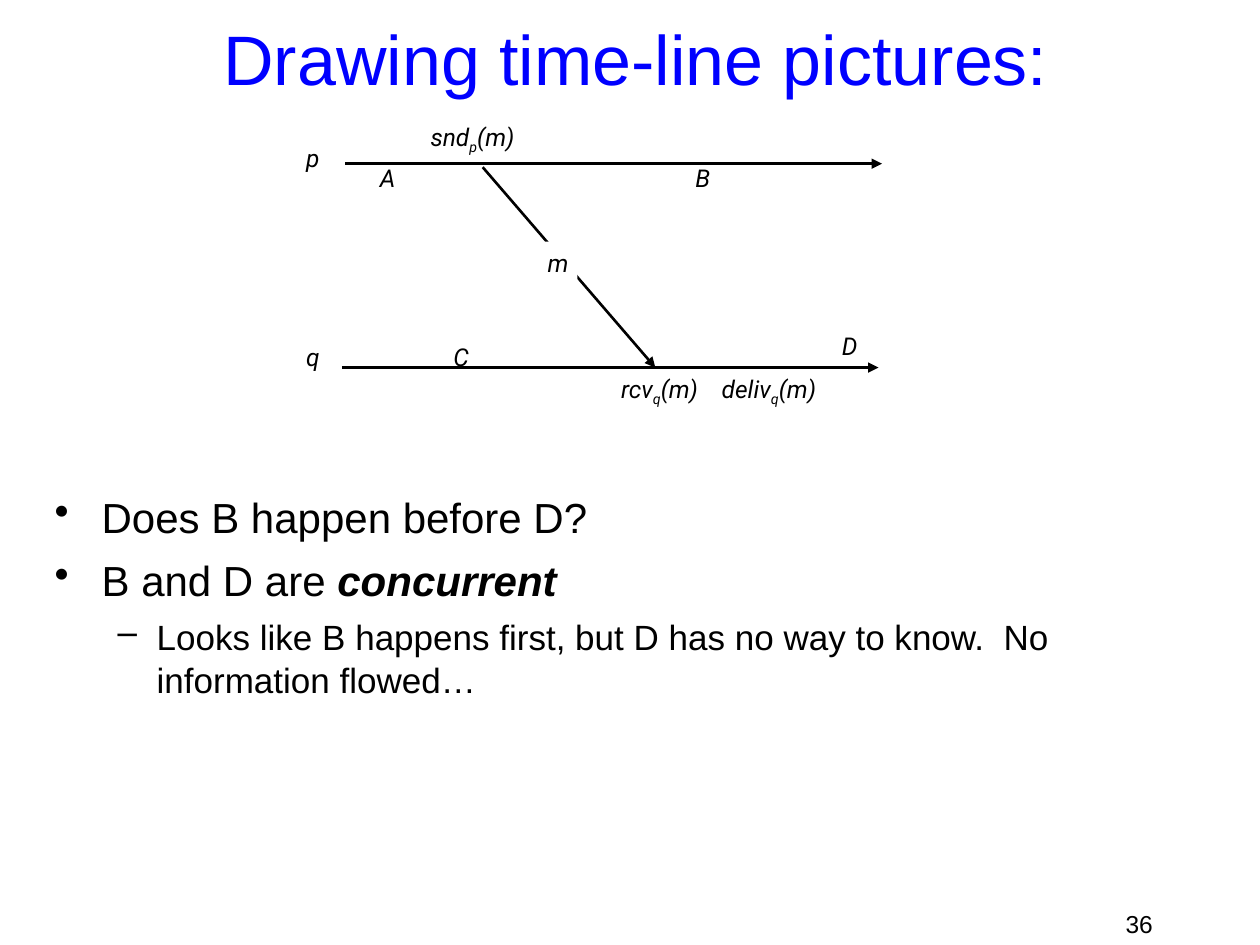
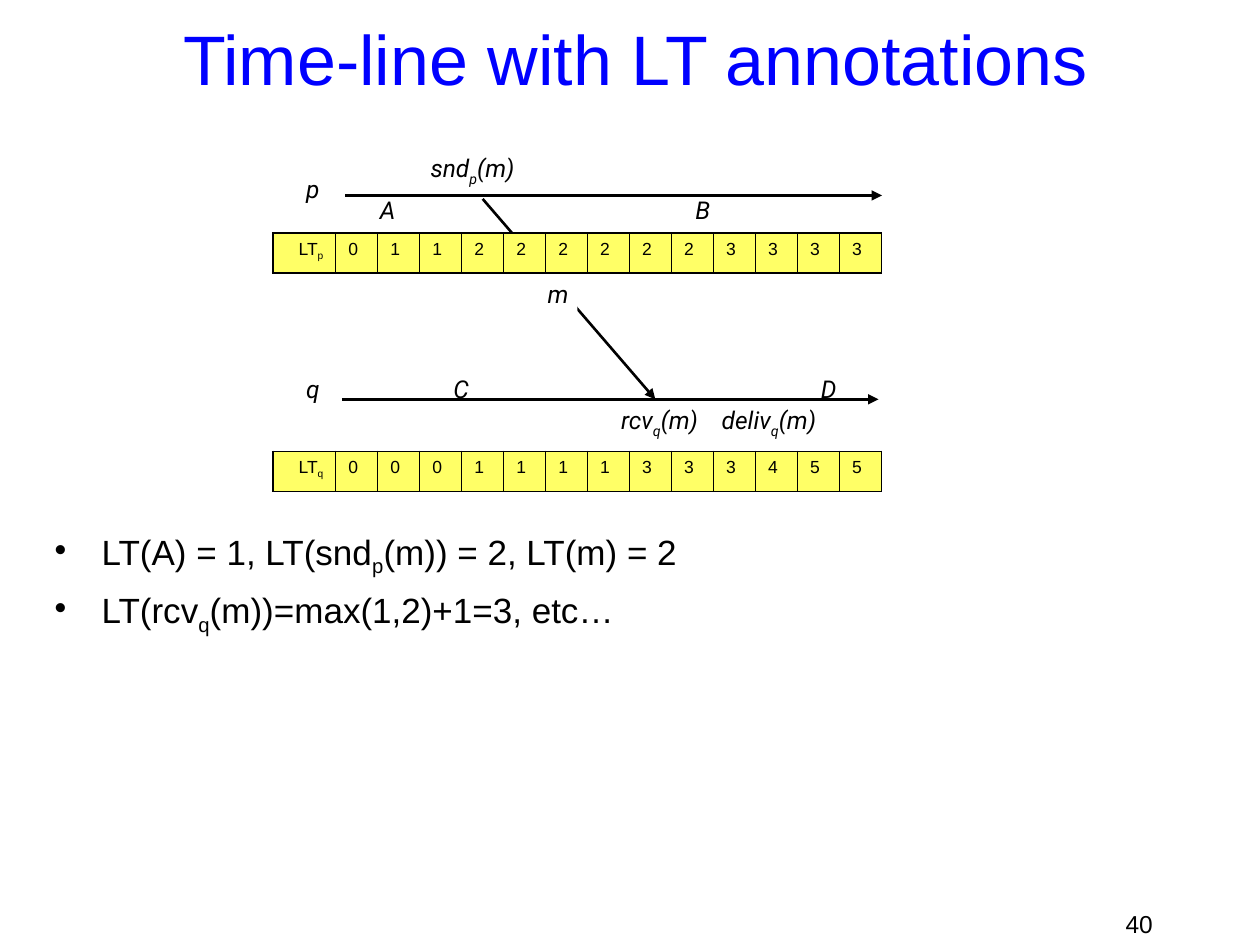
from lxml import etree
from pptx import Presentation
from pptx.dml.color import RGBColor
from pptx.enum import shapes, text
from pptx.oxml.ns import qn
from pptx.util import Cm, Pt

INK = {"title": "0000FF", "text": "000000", "back": "FFFFFF", "cell": "FFFF66"}
SANS, LABEL = "Arial", "Roboto"
LEFT, CENTER, RIGHT = text.PP_ALIGN.LEFT, text.PP_ALIGN.CENTER, text.PP_ALIGN.RIGHT
SIDE = 0.85


def rgb(name):
    return RGBColor.from_string(INK[name])


def sub(run):
    run.font.italic = run.font.italic
    run._r.get_or_add_rPr().set("baseline", "-25000")


def strong(run):
    run.font.bold = run.font.italic = True


def write(par, raw, size, font=SANS, ink="text", align=LEFT, slant=False, mark=sub):
    par.alignment = align
    for i, part in enumerate(raw.split("|")):
        if not part:
            continue
        run = par.add_run()
        run.text = part
        run.font.size = Pt(size)
        run.font.name = font
        run.font.color.rgb = rgb(ink)
        run.font.italic = slant
        if i % 2:
            mark(run)


def text_box(slide, x, y, w, h):
    box = slide.shapes.add_textbox(Cm(x), Cm(y), Cm(w), Cm(h))
    box.text_frame.word_wrap = True
    return box


def frame(slide, title, page):
    head = text_box(slide, 0.85, 0.42, 23.92, 1.48).text_frame
    head.vertical_anchor = text.MSO_ANCHOR.MIDDLE
    write(head.paragraphs[0], title, 40, ink="title", align=CENTER)
    foot = text_box(slide, 18.2, 18.2, 5.29, 0.64).text_frame
    write(foot.paragraphs[0], page, 14, align=RIGHT)


def bullets(slide, start, items):
    body = text_box(slide, 0.85, 2.33, 23.92, 15.45).text_frame
    body.margin_top = Cm(start)
    for i, (raw, size, level) in enumerate(items):
        par = body.add_paragraph() if i else body.paragraphs[0]
        write(par, raw, size, mark=strong if "concurrent" in raw else sub)
        par.level = level
        par.line_spacing = 1.04
        par.space_before = Pt(size / 4 if i else 0)
        indent, hang, sign = [(0.95, 0.95, "•"), (2.06, 0.79, "–")][level]
        prop = par._p.get_or_add_pPr()
        prop.set("marL", str(Cm(indent)))
        prop.set("indent", str(-Cm(hang)))
        etree.SubElement(prop, qn("a:buChar")).set("char", sign)


def arrow(slide, x1, y1, x2, y2):
    line = slide.shapes.add_connector(
        shapes.MSO_CONNECTOR.STRAIGHT, Cm(x1), Cm(y1), Cm(x2), Cm(y2))
    line.line.color.rgb = rgb("text")
    line.line.width = Pt(1.5)
    etree.SubElement(line.line._get_or_add_ln(), qn("a:tailEnd")).set("type", "triangle")
    etree.SubElement(line._element.spPr, qn("a:effectLst"))


def label(slide, raw, x, y, w=SIDE, h=SIDE, fill=False):
    box = text_box(slide, x, y, w, h)
    if fill:
        box.fill.solid()
        box.fill.fore_color.rgb = rgb("back")
    par = box.text_frame.paragraphs[0]
    write(par, raw, 14, LABEL, slant=True)
    return par


def timeline(slide, left, top, last):
    for x1, y1, x2, y2 in [(1.04, 0.97, 11.86, 0.97), (0.97, 5.08, 11.79, 5.08),
                           (3.81, 1.04, 7.29, 5.08)]:
        arrow(slide, left + x1, top + y1, left + x2, top + y2)
    for name, x, y, h in [("p", 0, 0.42, 2.51), ("q", 0, 4.45, 2.51),
                          ("m", 4.87, 2.54, SIDE)]:
        label(slide, name, left + x, top + y, h=h, fill=True)
    for name, x, y in [("D", *last), ("A", 1.49, 0.84), ("C", 2.97, 4.45),
                       ("B", 7.85, 0.84)]:
        label(slide, name, left + x, top + y)
    par = label(slide, "rcv|q|(m)\tdeliv|q|(m)", left + 6.35, top + 5.08, 5.28, 2.49)
    tabs = etree.SubElement(par._p.get_or_add_pPr(), qn("a:tabLst"))
    etree.SubElement(tabs, qn("a:tab"), pos=str(Cm(2.03)), algn="l")
    label(slide, "snd|p|(m)", left + 2.51, top, 3, 2.51)


def border(cell, sides):
    prop = cell._tc.get_or_add_tcPr()
    for i, (side, width) in enumerate(sides.items()):
        line = etree.Element(qn("a:ln" + side), w=str(Pt(width)))
        fill = etree.SubElement(line, qn("a:solidFill"))
        etree.SubElement(fill, qn("a:srgbClr")).set("val", INK["text"])
        prop.insert(i, line)


def clock(slide, left, top, name, ticks):
    wide, first, high = 12.27, 1.27, 0.81
    cells = [name, *ticks]
    grid = slide.shapes.add_table(
        1, len(cells), Cm(left), Cm(top), Cm(wide), Cm(high)).table
    grid.first_row = grid.horz_banding = False
    grid.rows[0].height = Cm(high)
    end = len(ticks)
    for i, raw in enumerate(cells):
        grid.columns[i].width = Cm((wide - first) / end if i else first)
        cell = grid.cell(0, i)
        cell.fill.solid()
        cell.fill.fore_color.rgb = rgb("cell")
        write(cell.text_frame.paragraphs[0], raw, 10, align=LEFT if i else RIGHT)
        border(cell, {"L": 0.45 if i else 1.08, "R": 1.08 if i == end else 0.45,
                      "T": 1.08, "B": 1.08})


def main():
    deck = Presentation()
    deck.slide_width, deck.slide_height = Cm(25.4), Cm(19.05)
    blank = deck.slide_layouts[6]

    slide = deck.slides.add_slide(blank)
    frame(slide, "Drawing time-line pictures:", "36")
    bullets(slide, 7.54, [
        ("Does B happen before D?", 24, 0),
        ("B and D are |concurrent", 24, 0),
        ("Looks like B happens first, but D has no way to know.  No information flowed…", 20, 1)])
    timeline(slide, 5.92, 2.33, (10.8, 4.22))

    slide = deck.slides.add_slide(blank)
    frame(slide, "Time-line with LT annotations", "40")
    bullets(slide, 8.32, [
        ("LT(A) = 1, LT(snd|p|(m)) = 2, LT(m) = 2", 20, 0),
        ("LT(rcv|q|(m))=max(1,2)+1=3, etc…", 20, 0)])
    timeline(slide, 5.92, 2.97, (10.38, 4.45))
    clock(slide, 5.5, 9.1, "LT|q", "0001111333455")
    clock(slide, 5.5, 4.7, "LT|p", "0112222223333")

    deck.save("out.pptx")


if __name__ == "__main__":
    main()
